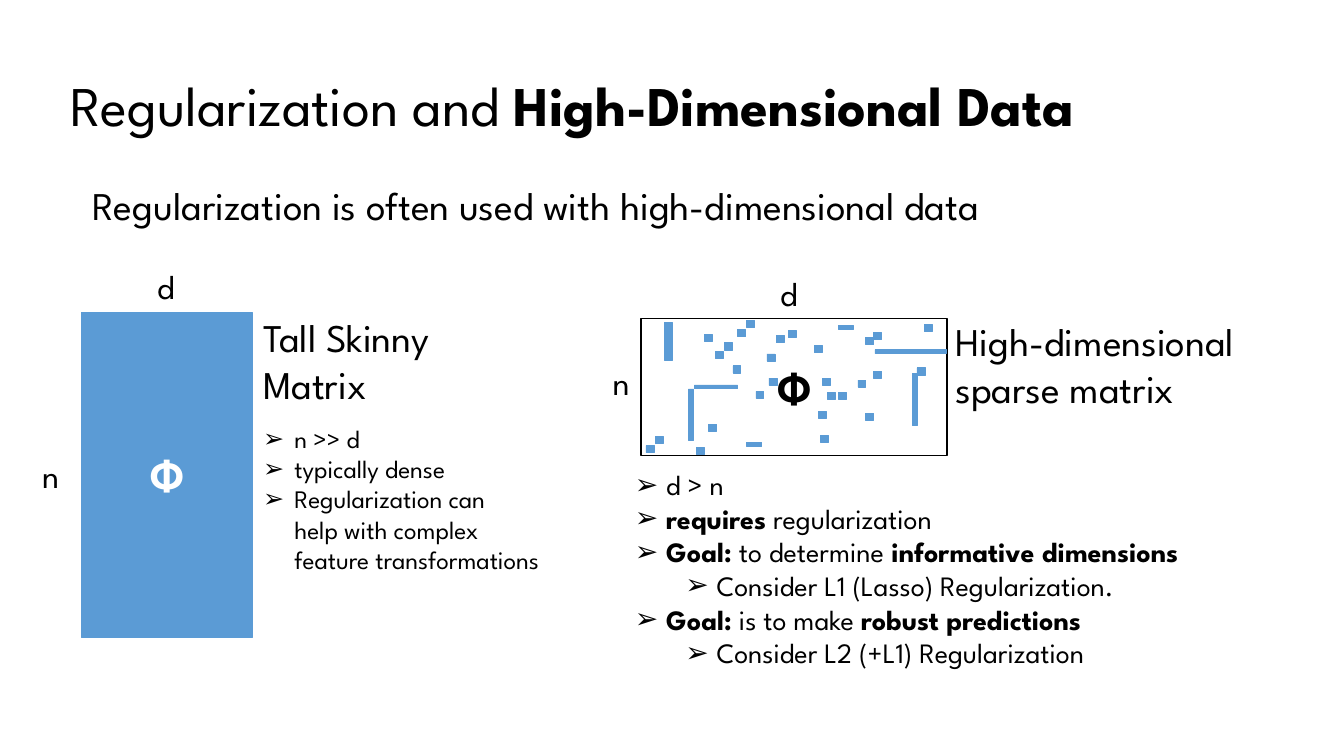
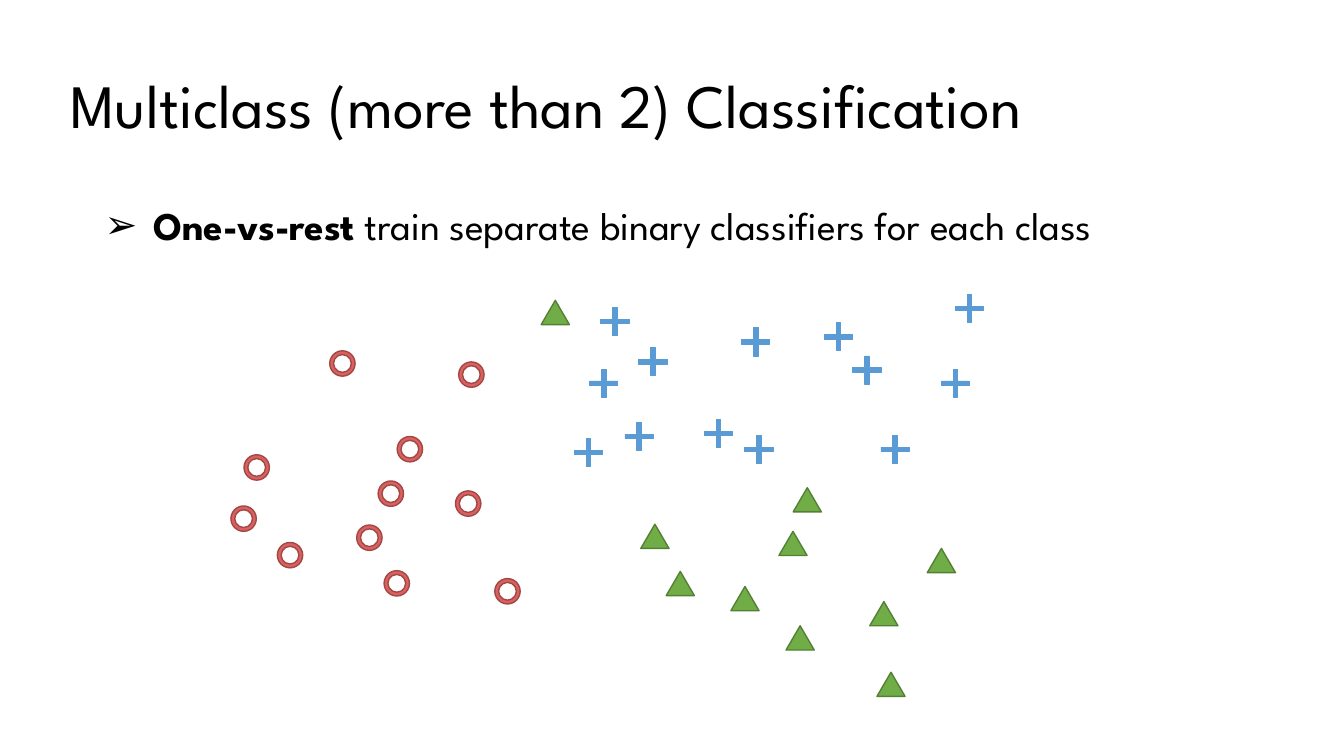
from lxml import etree
from pptx import Presentation
from pptx.dml.color import RGBColor
from pptx.enum.shapes import MSO_SHAPE
from pptx.enum.text import MSO_ANCHOR, PP_ALIGN
from pptx.oxml.ns import qn
from pptx.util import Cm, Pt

RECT = MSO_SHAPE.RECTANGLE
DONUT = MSO_SHAPE.DONUT
PLUS = MSO_SHAPE.CROSS
TRIANGLE = MSO_SHAPE.ISOSCELES_TRIANGLE
TOP, MIDDLE = MSO_ANCHOR.TOP, MSO_ANCHOR.MIDDLE
CENTER = PP_ALIGN.CENTER

BLACK = RGBColor(0x00, 0x00, 0x00)
WHITE = RGBColor(0xFF, 0xFF, 0xFF)
BLUE = RGBColor(0x5B, 0x9B, 0xD5)
RED = RGBColor(0xD9, 0x61, 0x5F)
DARK_RED = RGBColor(0xA1, 0x48, 0x46)
GREEN = RGBColor(0x70, 0xAD, 0x47)
DARK_GREEN = RGBColor(0x53, 0x80, 0x35)

BARS = [
    (16.74, 8.13, 0.2, 0.94), (17.5, 9.7, 1.09, 0.1), (18.82, 11.15, 0.38, 0.1),
    (22.99, 9.42, 0.13, 1.3), (17.35, 9.8, 0.13, 1.3), (22.05, 8.81, 1.8, 0.1),
    (21.13, 8.2, 0.38, 0.1),
]
CELLS = [
    (17.75, 8.43), (18.03, 8.86), (20.52, 8.71), (17.86, 10.69), (21.62, 9.58),
    (19.33, 8.92), (21.82, 8.51), (18.26, 8.64), (19.38, 9.53), (19.56, 8.46),
    (20.73, 9.53), (21.82, 10.41), (22.02, 9.35), (22.02, 8.38), (23.11, 9.27),
    (23.29, 8.18), (21.13, 9.88), (19.05, 9.86), (20.62, 10.36), (20.68, 10.97),
    (20.85, 9.88), (18.47, 9.22), (16.28, 11.23), (17.55, 11.28), (16.51, 11),
    (18.59, 8.31), (19.86, 8.33), (18.82, 8.08),
]
DONUTS = [
    (8.99, 13.23), (9.68, 14.38), (6.99, 13.67), (9.53, 12.12), (6.15, 11.46),
    (5.82, 12.75), (10.01, 11), (12.47, 14.58), (11.48, 12.37), (11.56, 9.12),
    (8.31, 8.84),
]
PLUSES = [
    (16.1, 8.76), (17.75, 10.57), (14.86, 9.3), (18.69, 8.26), (15.14, 7.75),
    (15.75, 10.64), (14.48, 11.05), (20.78, 8.13), (21.49, 8.97), (18.77, 10.97),
    (23.72, 9.3), (22.2, 10.97), (24.08, 7.42),
]
TRIANGLES = [
    (22.1, 16.94), (19.63, 13.39), (16.79, 14.4), (16.15, 13.21), (18.42, 14.78),
    (21.92, 15.16), (19.81, 15.77), (19.99, 12.29), (13.64, 7.57), (23.37, 13.82),
]


class Deck:
    """Shared style and the slide being built; asterisks in text mark bold."""

    font = "League Spartan"
    bullet = "➢"

    def __init__(self):
        self.prs = Presentation()
        self.prs.slide_width, self.prs.slide_height = Cm(33.87), Cm(19.05)
        self.s = None

    def slide(self, title, size):
        self.s = self.prs.slides.add_slide(self.prs.slide_layouts[6])
        self.text(1.52, 0.89, 30, 3.68, [title], size, spacing=0.9, anchor=MIDDLE)

    def style(self, p, size, color):
        for r in p.runs:
            r.font.name = self.font
            r.font.size = Pt(size)
            r.font.color.rgb = color

    def fill_paragraph(self, p, text, size):
        for i, line in enumerate(text.split("\n")):
            if i:
                p.add_line_break()
            for j, part in enumerate(line.split("*")):
                if part:
                    r = p.add_run()
                    r.text = part
                    r.font.bold = j % 2 == 1
        self.style(p, size, BLACK)

    def indent(self, p, margin, hanging, bullet=True):
        pPr = p._p.get_or_add_pPr()
        pPr.set("marL", str(Cm(margin)))
        pPr.set("indent", str(-Cm(hanging)))
        if bullet:
            etree.SubElement(pPr, qn("a:buFont")).set("typeface", "Arial")
            etree.SubElement(pPr, qn("a:buChar")).set("char", self.bullet)

    def text(self, x, y, w, h, lines, size, spacing=None, anchor=TOP):
        tf = self.s.shapes.add_textbox(Cm(x), Cm(y), Cm(w), Cm(h)).text_frame
        tf.word_wrap = True
        tf.vertical_anchor = anchor
        for i, line in enumerate(lines):
            p = tf.add_paragraph() if i else tf.paragraphs[0]
            if spacing:
                p.line_spacing = spacing
            self.fill_paragraph(p, line, size)
        return tf.paragraphs

    def bullets(self, x, y, w, h, items, size):
        paragraphs = self.text(x, y, w, h, [line for _, line in items], size)
        for p, (level, _) in zip(paragraphs, items):
            p.level = level
            self.indent(p, 0.79 + 1.27 * level, 0.79)

    def label(self, x, y, letter):
        self.text(x, y, 1.07, 1.27, [letter], 24)

    def shape(self, kind, x, y, w, h, fill, line, width=0.5, adj=None):
        sp = self.s.shapes.add_shape(kind, Cm(x), Cm(y), Cm(w), Cm(h))
        sp.shadow.inherit = False
        sp.fill.solid()
        sp.fill.fore_color.rgb = fill
        sp.line.color.rgb = line
        sp.line.width = Pt(width)
        if adj is not None:
            sp.adjustments[0] = adj
        return sp

    def matrix(self, x, y, w, h, fill, line, width, color):
        tf = self.shape(RECT, x, y, w, h, fill, line, width).text_frame
        tf.text = "𝚽"
        tf.vertical_anchor = MIDDLE
        p = tf.paragraphs[0]
        p.alignment = CENTER
        self.style(p, 32, color)

    def scatter(self, kind, points, w, h, fill, line, width=0.5, adj=None):
        for x, y in points:
            self.shape(kind, x, y, w, h, fill, line, width, adj)


def regularization(deck):
    deck.slide("Regularization and *High-Dimensional Data*", 40)
    body = deck.text(2.03, 4.57, 30.61, 1.98,
                     ["Regularization is often used with high-dimensional data"], 28, 0.9)
    deck.indent(body[0], 0.05, 0, bullet=False)

    deck.matrix(2.06, 7.87, 4.29, 8.2, BLUE, BLUE, 0.5, WHITE)
    deck.text(6.38, 7.77, 5.36, 2.64, ["Tall Skinny\nMatrix"], 28)
    deck.label(0.81, 11.33, "n")
    deck.label(3.71, 6.58, "d")
    deck.bullets(6.38, 10.54, 8.51, 4.11, [
        (0, "n >> d"),
        (0, "typically dense"),
        (0, "Regularization can\nhelp with complex\nfeature transformations"),
    ], 18)

    deck.bullets(15.75, 11.66, 16.46, 5.38, [
        (0, "d > n"),
        (0, "*requires* regularization"),
        (0, "*Goal:* to determine* informative dimensions*"),
        (1, "Consider L1 (Lasso) Regularization."),
        (0, "*Goal:* is to make *robust predictions*"),
        (1, "Consider L2 (+L1) Regularization"),
    ], 20)
    deck.text(23.83, 7.87, 9.45, 2.64, ["High-dimensional sparse matrix"], 28)
    deck.label(15.19, 8.99, "n")
    deck.label(19.41, 6.76, "d")
    deck.matrix(16.15, 8.03, 7.72, 3.45, WHITE, BLACK, 1, BLACK)
    for bar in BARS:
        deck.shape(RECT, *bar, BLUE, BLUE)
    deck.scatter(RECT, CELLS, 0.2, 0.18, BLUE, BLUE)


def multiclass(deck):
    deck.slide("Multiclass (more than 2) Classification", 44)
    body = deck.text(2.34, 5.08, 29.21, 2.13,
                     ["*One-vs-rest* train separate binary classifiers for each class"], 28, 0.9)
    deck.indent(body[0], 1.27, 1.22)
    deck.scatter(DONUT, DONUTS, 0.64, 0.64, RED, DARK_RED, 1, 0.15)
    deck.scatter(PLUS, PLUSES, 0.71, 0.71, BLUE, BLUE, adj=0.42)
    deck.scatter(TRIANGLE, TRIANGLES, 0.71, 0.61, GREEN, DARK_GREEN, 1)


def main():
    deck = Deck()
    regularization(deck)
    multiclass(deck)
    deck.prs.save("out.pptx")


if __name__ == "__main__":
    main()
